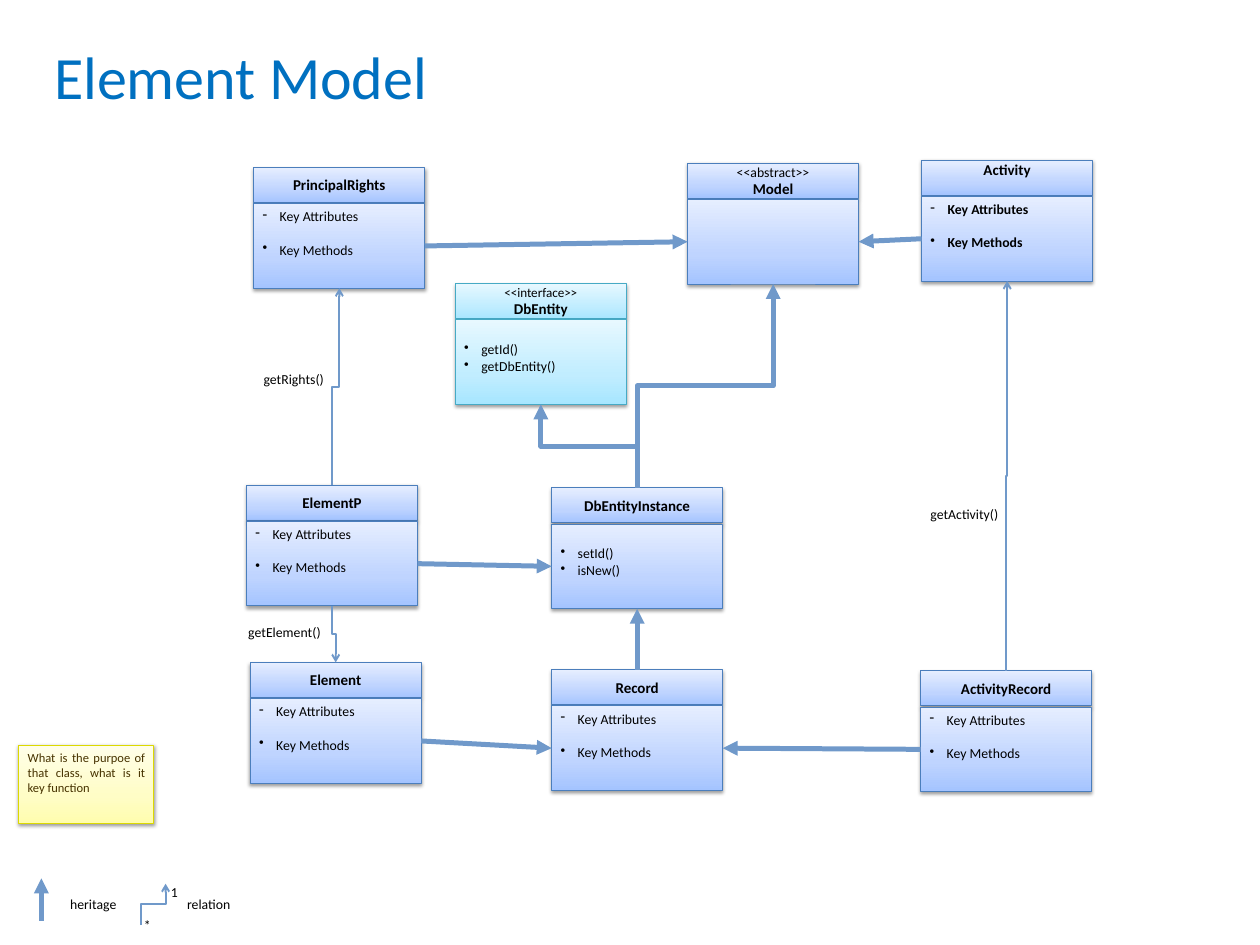
from dataclasses import dataclass
from typing import Any

from lxml.etree import SubElement
from pptx import Presentation
from pptx.dml.color import RGBColor
from pptx.enum.shapes import MSO_CONNECTOR, MSO_SHAPE
from pptx.enum.text import MSO_ANCHOR, MSO_AUTO_SIZE, PP_ALIGN
from pptx.oxml.ns import qn
from pptx.util import Inches, Pt

# The grid has 140 columns and 105 rows of square cells; lengths count cells.
CELL = Inches(14) // 140
BOX_WIDTH, HEADER_HEIGHT, BODY_OFFSET, BODY_HEIGHT = 19, 3.9, 4.03, 9.4
BOX_HEIGHT = BODY_OFFSET + BODY_HEIGHT
FONT, BLACK, ARROW = "Calibri", "000000", "7099CA"
MEMBERS = (("-", "Key Attributes"), ("•", "Key Methods"))


@dataclass(frozen=True)
class Palette:
    """Gradient colours from bottom to top, and the outline."""
    stops: tuple[str, str, str]
    outline: str


BLUE = Palette(("A4C4FF", "BFD4FF", "E6EEFF"), "4B7EBC")
CYAN = Palette(("A7E6FF", "C1EDFF", "E7F8FF"), "46AAC5")
YELLOW = Palette(("FFFDAE", "FFFDC6", "FFFEE9"), "DCD900")


@dataclass(frozen=True)
class ClassBox:
    """A class with its name above its members."""
    name: str
    column: float
    row: float
    members: tuple[tuple[str, str], ...] = MEMBERS
    member_gap: float = 13.4
    member_top: float = 0.5
    stereotype: str = ""
    stereotype_size: float = 11
    palette: Palette = BLUE
    bold_members: bool = False
    name_on_top: bool = False

    def side(self, name: str) -> tuple[float, float]:
        """Return the point where an arrow meets the named side."""
        middle = self.row + BODY_OFFSET + BODY_HEIGHT / 2
        center = self.column + BOX_WIDTH / 2
        return {"left": (self.column, middle),
                "right": (self.column + BOX_WIDTH, middle),
                "top": (center, self.row),
                "bottom": (center, self.row + BOX_HEIGHT)}[name]


@dataclass(frozen=True)
class Label:
    """A one-line caption."""
    text: str
    column: float
    row: float
    width: float


CLASSES = (
    ClassBox("DbEntityInstance", 61.3, 54.2, (("•", "setId()"), ("•", "isNew()")),
             member_gap=0, member_top=2.36),
    ClassBox("ElementP", 27.4, 53.9),
    ClassBox("PrincipalRights", 28.2, 18.6),
    ClassBox("DbEntity", 50.6, 31.5, (("•", "getId()"), ("•", "getDbEntity()")),
             member_gap=0, member_top=2.36, stereotype="<<interface>>",
             stereotype_size=10.5, palette=CYAN),
    ClassBox("Model", 76.4, 18.13, (), stereotype="<<abstract>>"),
    ClassBox("Record", 61.3, 74.4),
    ClassBox("Activity", 102.4, 17.8, bold_members=True, name_on_top=True),
    ClassBox("ActivityRecord", 102.3, 74.53),
    ClassBox("Element", 27.8, 73.6),
)
HERITAGE = (
    ("Element", "right", "Record", "left"),
    ("ElementP", "right", "DbEntityInstance", "left"),
    ("DbEntityInstance", "top", "DbEntity", "bottom"),
    ("DbEntityInstance", "top", "Model", "bottom"),
    ("Record", "top", "DbEntityInstance", "bottom"),
    ("Activity", "left", "Model", "right"),
    ("ActivityRecord", "left", "Record", "right"),
    ("PrincipalRights", "right", "Model", "left"),
)
RELATIONS = (
    ("ElementP", "bottom", "Element", "top"),
    ("ActivityRecord", "top", "Activity", "bottom"),
    ("ElementP", "top", "PrincipalRights", "bottom"),
)
LABELS = (
    Label("heritage", 6.8, 99, 7.2), Label("relation", 19.8, 99, 6.9),
    Label("*", 15, 101.4, 2.8), Label("1", 18, 97.7, 2.8),
    Label("getActivity()", 102.4, 55.7, 9.6),
    Label("getElement()", 26.6, 68.8, 10.2), Label("getRights()", 28.3, 40.7, 8.8),
)


def color(value: str) -> RGBColor:
    """Turn a hex string into a colour."""
    return RGBColor.from_string(value)


def cells(*counts: float) -> list[int]:
    """Turn counts of grid cells into lengths."""
    return [round(count * CELL) for count in counts]


def write(frame: Any, text: str, *, size: float = 11, ink: str = BLACK,
          bold: bool = False, align: PP_ALIGN = PP_ALIGN.LEFT,
          bullet: str = "", before: float = 0) -> None:
    """Add a formatted paragraph, using the first one while it is empty."""
    first = frame.paragraphs[0]
    para = frame.add_paragraph() if first.runs else first
    para.alignment = align
    para.space_before = Pt(before)
    span = para.add_run()
    span.text = text
    span.font.name, span.font.size, span.font.bold = FONT, Pt(size), bold
    span.font.color.rgb = color(ink)
    if bullet:
        properties = para._p.get_or_add_pPr()
        properties.set("marL", str(Inches(0.19)))
        properties.set("indent", str(-Inches(0.19)))
        SubElement(properties, qn("a:buChar"), char=bullet)


def add_panel(shapes: Any, column: float, row: float, width: float,
              height: float, palette: Palette) -> Any:
    """Draw a shaded rectangle with a soft shadow; return its text frame."""
    panel = shapes.add_shape(MSO_SHAPE.RECTANGLE, *cells(column, row, width, height))
    panel.fill.gradient()
    panel.fill.gradient_angle = 90
    stops = panel._element.spPr.find(".//" + qn("a:gsLst"))
    stops.clear()
    for position, value in zip((0, 35, 100), palette.stops):
        stop = SubElement(stops, qn("a:gs"), pos=str(position * 1000))
        SubElement(stop, qn("a:srgbClr"), val=value)
    panel.line.color.rgb, panel.line.width = color(palette.outline), Pt(0.75)
    panel.shadow.inherit = False
    effects = panel._element.spPr.find(qn("a:effectLst"))
    shadow = SubElement(effects, qn("a:outerShdw"), blurRad=str(Pt(3.1)),
                        dist=str(Pt(1.6)), dir="5400000", rotWithShape="0")
    tint = SubElement(shadow, qn("a:srgbClr"), val=BLACK)
    SubElement(tint, qn("a:alpha"), val="38000")
    frame = panel.text_frame
    frame.word_wrap, frame.vertical_anchor = True, MSO_ANCHOR.TOP
    return frame


def add_class(page: Any, box: ClassBox) -> None:
    """Draw a class as a group of header and body."""
    shapes = page.shapes.add_group_shape().shapes
    header = add_panel(shapes, box.column, box.row, BOX_WIDTH, HEADER_HEIGHT, box.palette)
    if box.name_on_top:
        header.margin_top = 0
    else:
        header.vertical_anchor = MSO_ANCHOR.MIDDLE
    if box.stereotype:
        write(header, box.stereotype, size=box.stereotype_size, align=PP_ALIGN.CENTER)
    write(header, box.name, size=12, bold=True, align=PP_ALIGN.CENTER)
    body = add_panel(shapes, box.column, box.row + BODY_OFFSET, BOX_WIDTH,
                     BODY_HEIGHT, box.palette)
    body.margin_top = cells(box.member_top)[0]
    for index, (bullet, text) in enumerate(box.members):
        write(body, text, bullet=bullet, bold=box.bold_members,
              before=box.member_gap if index else 0)


def add_arrow(page: Any, start: tuple[float, float], end: tuple[float, float],
              *, width: float, head: str, bent: bool) -> None:
    """Draw an arrow; a bent one leaves and arrives vertically."""
    kind = MSO_CONNECTOR.ELBOW if bent else MSO_CONNECTOR.STRAIGHT
    points = (*start, *end)
    if bent:  # lay the path out sideways, to be turned by 90 degrees
        (x1, y1), (x2, y2) = start, end
        center, middle = (x1 + x2) / 2, (y1 + y2) / 2
        across, down = (x2 - x1) / 2, (y2 - y1) / 2
        points = (center - down, middle + across, center + down, middle - across)
    arrow = page.shapes.add_connector(kind, *cells(*points))
    arrow.line.color.rgb, arrow.line.width = color(ARROW), Pt(width)
    properties = arrow._element.spPr
    if bent:
        properties.find(qn("a:xfrm")).set("rot", "5400000")
    SubElement(properties.find(qn("a:ln")), qn("a:tailEnd"), type=head)
    SubElement(properties, qn("a:effectLst"))


def add_label(page: Any, label: Label) -> None:
    """Place a caption that does not wrap."""
    box = page.shapes.add_textbox(*cells(label.column, label.row, label.width, 2.9))
    box.text_frame.word_wrap = False
    box.text_frame.auto_size = MSO_AUTO_SIZE.SHAPE_TO_FIT_TEXT
    write(box.text_frame, label.text)


def add_title(page: Any, text: str) -> None:
    """Move and fill the title placeholder."""
    title = page.shapes.title
    title.left, title.top, title.width, title.height = cells(4.6, 3.1, 126, 10.5)
    frame = title.text_frame
    frame.vertical_anchor = MSO_ANCHOR.MIDDLE
    frame.margin_left, frame.margin_right = cells(1.4, 1.4)
    write(frame, text, size=48, ink="0070C0")


def main() -> None:
    """Build the slide and save it."""
    deck = Presentation()
    deck.slide_width, deck.slide_height = cells(140, 105)
    page = deck.slides.add_slide(deck.slide_layouts[5])
    add_title(page, "Element Model")
    for box in CLASSES:
        add_class(page, box)
    note = add_panel(page.shapes, 2.1, 82.8, 15, 8.7, YELLOW)
    write(note, "What is the purpoe of that class, what is it key function",
          size=10, ink="463200", align=PP_ALIGN.JUSTIFY)
    boxes = {box.name: box for box in CLASSES}
    heritage, relation = {"width": 4, "head": "triangle"}, {"width": 1.5, "head": "arrow"}
    for style, links in ((heritage, HERITAGE), (relation, RELATIONS)):
        for source, out, target, into in links:
            start, end = boxes[source].side(out), boxes[target].side(into)
            bent = out in ("top", "bottom") and start[0] != end[0]
            add_arrow(page, start, end, bent=bent, **style)
    add_arrow(page, (4.6, 102.3), (4.6, 97.6), bent=False, **heritage)
    add_arrow(page, (15.7, 102.8), (18.4, 98.2), bent=True, **relation)
    for label in LABELS:
        add_label(page, label)
    deck.save("out.pptx")


main()
